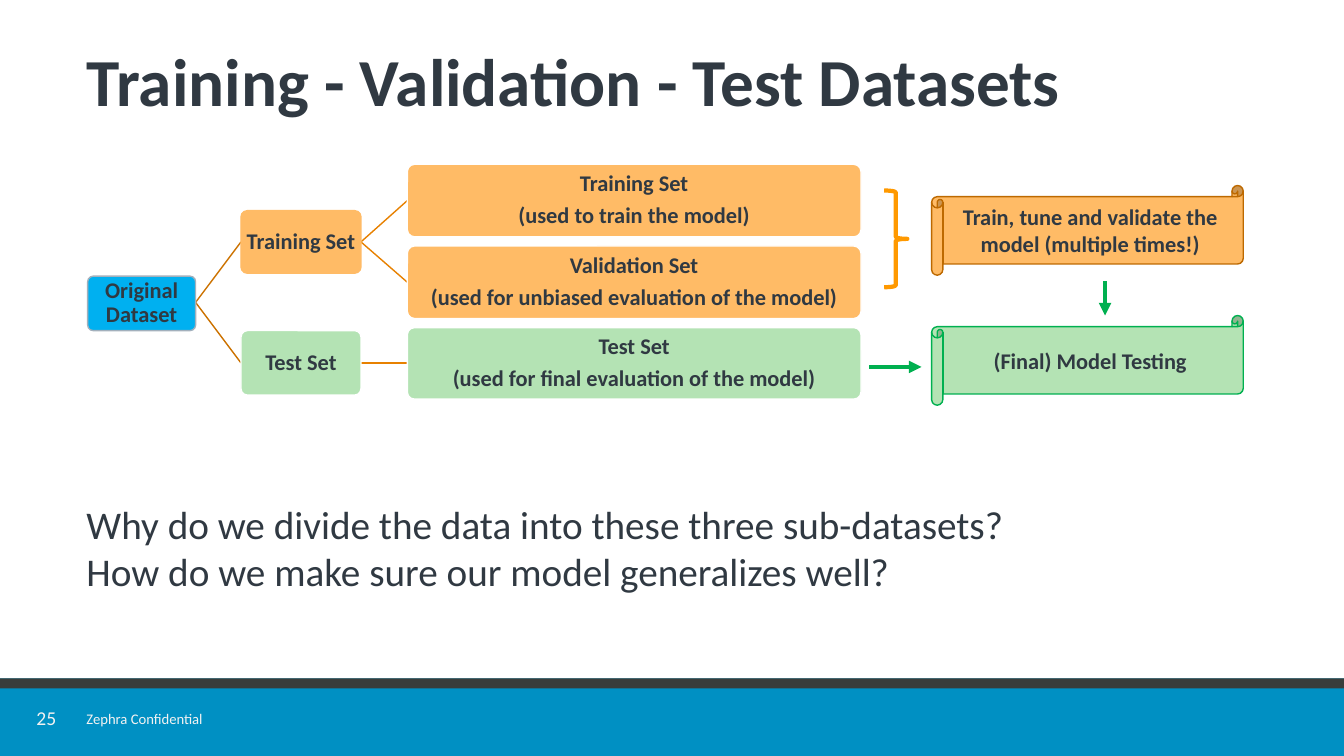
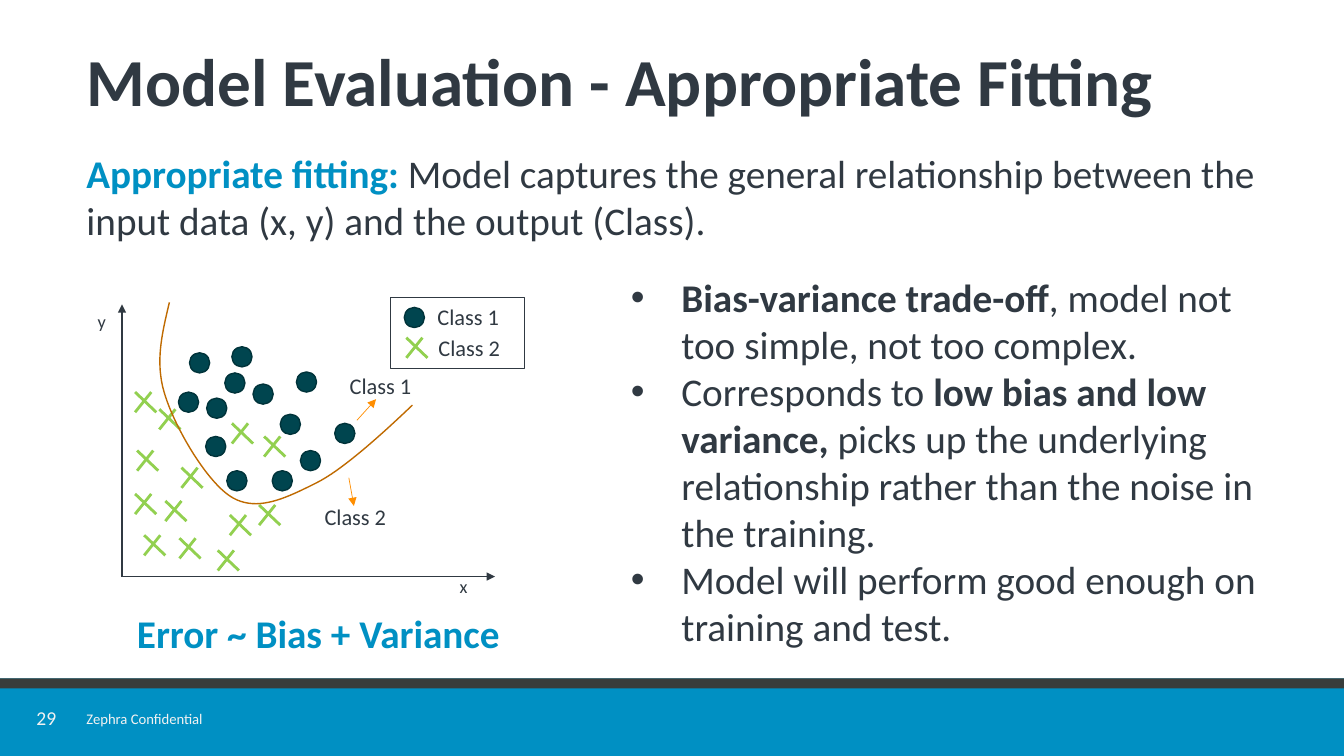
"""Build two slides on dataset splits and appropriate model fitting."""
import lxml.etree
import pptx
import pptx.dml.color
import pptx.enum.shapes
import pptx.enum.text
import pptx.oxml.ns
import pptx.util

PX = 9144
FONT = "Calibri"
INK, BLUE, SLATE, PALE = "303942", "0090C3", "383D3B", "F2F2F2"
ORANGE, GREEN, DEEP_GREEN, WHITE = "FFBB66", "B4E3B4", "00B050", "FFFFFF"
BRANCH, TWIG, LIME, TEAL = "CC7200", "E78100", "92D050", "00454F"

colour = pptx.dml.color.RGBColor.from_string
qn = pptx.oxml.ns.qn
SHAPE = pptx.enum.shapes.MSO_SHAPE
STRAIGHT = pptx.enum.shapes.MSO_CONNECTOR.STRAIGHT
ALIGN = pptx.enum.text.PP_ALIGN
ANCHOR = pptx.enum.text.MSO_ANCHOR


def write_text(shape, text, size=16, color=INK, bold=False, emphasis=INK, align=ALIGN.LEFT,
               anchor=ANCHOR.TOP, inset=(10, 5), spacing=1.0, after=0, bullet=False, wrap=True):
    """Fill a shape with one paragraph per line; words between asterisks are emphasised."""
    frame = shape.text_frame
    frame.auto_size = pptx.enum.text.MSO_AUTO_SIZE.NONE
    frame.word_wrap = wrap
    frame.vertical_anchor = anchor
    frame.margin_left = frame.margin_right = inset[0] * PX
    frame.margin_top = frame.margin_bottom = inset[1] * PX
    for index, line in enumerate(text.split("\n")):
        paragraph = frame.add_paragraph() if index else frame.paragraphs[0]
        paragraph.alignment = align
        paragraph.line_spacing = spacing
        paragraph.space_after = pptx.util.Pt(after)
        if bullet:
            properties = paragraph._p.get_or_add_pPr()
            properties.set("marL", str(50 * PX))
            properties.set("indent", str(-50 * PX))
            lxml.etree.SubElement(properties, qn("a:buFont"), typeface="Arial")
            lxml.etree.SubElement(properties, qn("a:buChar"), char="•")
        for position, words in enumerate(line.split("*")):
            if not words:
                continue
            emphasised = position % 2 == 1
            run = paragraph.add_run()
            run.text = words
            run.font.name = FONT
            run.font.size = pptx.util.Pt(size)
            run.font.bold = bold or emphasised
            run.font.color.rgb = colour(emphasis if emphasised else color)


def style(shape, line=None, width=1, fill=None, arrow=False):
    """Set the outline, fill and arrowhead of a shape or connector, without shadow."""
    if line:
        shape.line.color.rgb = colour(line)
        shape.line.width = pptx.util.Pt(width)
    else:
        shape.line.fill.background()
    if fill:
        shape.fill.solid()
        shape.fill.fore_color.rgb = colour(fill)
    elif hasattr(shape, "fill"):
        shape.fill.background()
    properties = shape._element.spPr
    if arrow:
        lxml.etree.SubElement(properties.find(qn("a:ln")), qn("a:tailEnd"), type="triangle")
    lxml.etree.SubElement(properties, qn("a:effectLst"))


presentation = pptx.Presentation()
presentation.slide_width, presentation.slide_height = 1333 * PX, 750 * PX

slides = []
for number, title in [("25", "Training - Validation - Test Datasets"),
                      ("29", "Model Evaluation - Appropriate Fitting")]:
    slide = presentation.slides.add_slide(presentation.slide_layouts[5])
    slides.append(slide)
    heading = slide.shapes.title
    heading.left, heading.top, heading.width, heading.height = 76 * PX, 33 * PX, 1191 * PX, 108 * PX
    write_text(heading, title, size=48, bold=True, anchor=ANCHOR.MIDDLE, spacing=0.8)
    for height, fill in [(77, BLUE), (10, SLATE)]:
        band = slide.shapes.add_shape(SHAPE.RECTANGLE, 0, 673 * PX, 1333 * PX, height * PX)
        style(band, fill=fill)
    page = slide.shapes.add_textbox(33 * PX, 702 * PX, 26 * PX, 23 * PX)
    write_text(page, number, size=14, color=PALE, align=ALIGN.CENTER, anchor=ANCHOR.MIDDLE,
               inset=(0, 0), spacing=0.9, wrap=False)
    footer = slide.shapes.add_textbox(76 * PX, 699 * PX, 160 * PX, 28 * PX)
    write_text(footer, "Zephra Confidential", size=10.5, color=PALE, wrap=False)

datasets, fitting = slides

for x1, y1, x2, y2, line, width, arrow in [
    (194, 300, 239, 240, BRANCH, 1, False),
    (194, 300, 239, 360, BRANCH, 1, False),
    (358, 240, 404, 199, TWIG, 1, False),
    (358, 240, 404, 280, TWIG, 1, False),
    (358, 360, 404, 360, TWIG, 1, False),
    (862, 364, 914, 364, DEEP_GREEN, 3, True),
    (1096, 279, 1096, 313, DEEP_GREEN, 3, True),
]:
    connector = datasets.shapes.add_connector(STRAIGHT, x1 * PX, y1 * PX, x2 * PX, y2 * PX)
    style(connector, line, width, arrow=arrow)

for left, top, width, height, fill, line, text in [
    (87, 274, 107, 54, "00B0F0", "A3B0BC", "Original Dataset"),
    (239, 209, 119, 62, ORANGE, ORANGE, "Training Set"),
    (239, 328, 119, 64, GREEN, WHITE, "Test Set"),
    (404, 163, 450, 72, ORANGE, WHITE, "Training Set\n(used to train the model)"),
    (404, 244, 450, 72, ORANGE, WHITE,
     "Validation Set\n(used for unbiased evaluation of the model)"),
    (404, 325, 450, 71, GREEN, WHITE, "Test Set\n(used for final evaluation of the model)"),
]:
    box = datasets.shapes.add_shape(SHAPE.ROUNDED_RECTANGLE, left * PX, top * PX,
                                    width * PX, height * PX)
    box.adjustments[0] = 0.1
    style(box, line, fill=fill)
    write_text(box, text, bold=True, align=ALIGN.CENTER, anchor=ANCHOR.MIDDLE,
               inset=(2, 2), spacing=0.9, after=5.6)

for top, fill, line, text in [
    (184, ORANGE, "BD6900", "Train, tune and validate the model (multiple times!)"),
    (313, GREEN, DEEP_GREEN, "(Final) Model Testing"),
]:
    scroll = datasets.shapes.add_shape(SHAPE.HORIZONTAL_SCROLL, 924 * PX, top * PX,
                                       309 * PX, 89 * PX)
    style(scroll, line, fill=fill)
    write_text(scroll, text, bold=True, align=ALIGN.CENTER, anchor=ANCHOR.MIDDLE)

brace = datasets.shapes.add_shape(SHAPE.RIGHT_BRACE, 877 * PX, 189 * PX, 23 * PX, 96 * PX)
style(brace, "FF9900", 3)

questions = datasets.shapes.add_textbox(76 * PX, 491 * PX, 1134 * PX, 104 * PX)
write_text(questions, "Why do we divide the data into these three sub-datasets?\n"
           "How do we make sure our model generalizes well?", size=28)

for x1, y1, x2, y2, line, width in [
    (121, 572, 491, 572, INK, 1),
    (121, 572, 121, 302, INK, 1),
    (354, 417, 373, 396, "FF8E00", 0.5),
    (346, 474, 351, 502, "FF8E00", 0.5),
]:
    arrow = fitting.shapes.add_connector(STRAIGHT, x1 * PX, y1 * PX, x2 * PX, y2 * PX)
    style(arrow, line, width, arrow=True)

for x, y in [(143, 531), (178, 534), (134, 490), (164, 497), (216, 546), (228, 511),
             (136, 447), (180, 464), (158, 406), (230, 420), (262, 433), (257, 501),
             (134, 389), (403, 335)]:
    for x1, x2 in [(x, x + 21), (x + 16, x)]:
        stroke = fitting.shapes.add_connector(STRAIGHT, x1 * PX, y * PX, x2 * PX, (y + 20) * PX)
        style(stroke, LIME, 2)

for x, y in [(188, 350), (177, 389), (205, 395), (204, 433), (225, 467), (270, 467),
             (298, 447), (230, 344), (223, 370), (251, 381), (278, 411), (294, 369),
             (332, 420), (401, 305)]:
    dot = fitting.shapes.add_shape(SHAPE.OVAL, x * PX, y * PX, 20 * PX, 20 * PX)
    style(dot, "00333A", fill=TEAL)

legend = fitting.shapes.add_shape(SHAPE.RECTANGLE, 387 * PX, 295 * PX, 133 * PX, 71 * PX)
style(legend, INK, 0.75)

STEPS = 20
curve_start = (168, 300)
boundary = fitting.shapes.build_freeform(curve_start[0] * PX, curve_start[1] * PX)
for control_1, control_2, end in [
    ((161, 330), (153, 360), (164, 393)),
    ((174, 425), (206, 480), (231, 494)),
    ((256, 508), (284, 494), (314, 479)),
    ((344, 464), (391, 419), (409, 402)),
]:
    points = []
    for step in range(1, STEPS + 1):
        t = step / STEPS
        weights = ((1 - t) ** 3, 3 * t * (1 - t) ** 2, 3 * t ** 2 * (1 - t), t ** 3)
        anchors = (curve_start, control_1, control_2, end)
        points.append(tuple(round(PX * sum(weight * point[axis] for weight, point
                                           in zip(weights, anchors))) for axis in (0, 1)))
    boundary.add_line_segments(points, close=False)
    curve_start = end
style(boundary.convert_to_shape(), "BF6A00")

for left, top, width, height, text, text_format in [
    (87, 303, 33, 40, "y", {"size": 13}),
    (446, 566, 33, 40, "x", {"size": 13}),
    (424, 296, 99, 37, "Class 1", {}),
    (425, 327, 99, 37, "Class 2", {}),
    (337, 364, 101, 37, "Class 1", {}),
    (312, 494, 101, 37, "Class 2", {}),
    (76, 143, 1190, 110, "*Appropriate fitting:* Model captures the general relationship "
     "between the input data (x, y) and the output (Class).", {"size": 28, "emphasis": BLUE}),
    (126, 600, 407, 57, "Error ~ Bias + Variance", {"size": 28, "color": BLUE, "bold": True}),
    (616, 266, 669, 387, "*Bias-variance trade-off*, model not too simple, not too complex.\n"
     "Corresponds to *low bias and low variance, *picks up the underlying relationship "
     "rather than the noise in the training.\n"
     "Model will perform good enough on training and test.", {"size": 28, "bullet": True}),
]:
    label = fitting.shapes.add_textbox(left * PX, top * PX, width * PX, height * PX)
    write_text(label, text, **text_format)

presentation.save("out.pptx")
